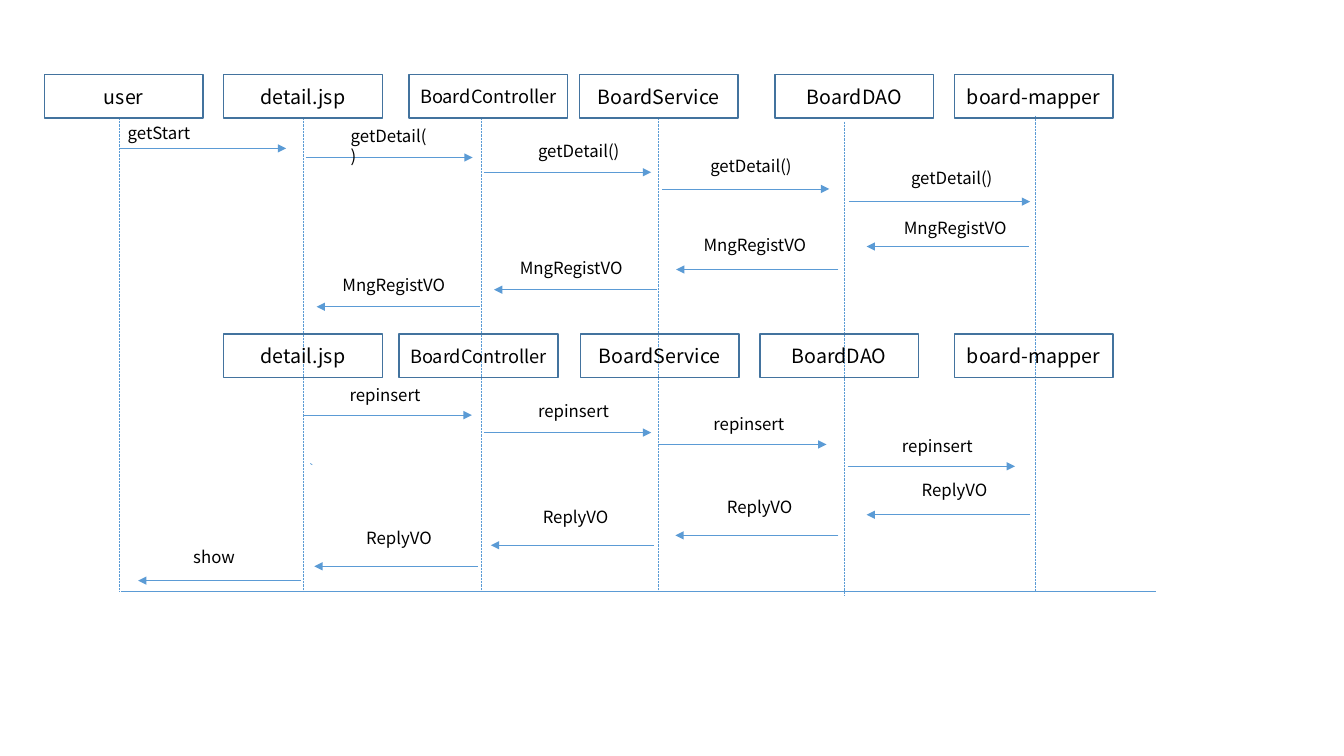
"""Build a sequence diagram of the board detail and reply calls."""
from dataclasses import dataclass

from lxml import etree
from pptx import Presentation
from pptx import util as u
from pptx.dml.color import RGBColor
from pptx.enum import dml, shapes, text
from pptx.oxml import ns


@dataclass(frozen=True)
class Theme:
    font: str = "Noto Sans CJK KR"
    ink: RGBColor = RGBColor(0x00, 0x00, 0x00)
    border: RGBColor = RGBColor(0x43, 0x73, 0x9E)
    stroke: RGBColor = RGBColor(0x5B, 0x9B, 0xD5)
    name_size: float = 14
    long_name_size: float = 13
    message_size: float = 12
    border_width: float = 1
    stroke_width: float = 0.5


THEME = Theme()
BOX_WIDTH, BOX_HEIGHT, LABEL_HEIGHT = 4.0, 1.1, 0.77
LONG_NAME = 13

# name, left in the detail row, left in the reply row, lifeline x, top, bottom
PARTICIPANTS = [
    ("user", 1.12, None, 3.0, 2.97, 14.91),
    ("detail.jsp", 5.64, 5.64, 7.64, 2.97, 14.92),
    ("BoardController", 10.31, 10.06, 12.12, 2.97, 14.91),
    ("BoardService", 14.6, 14.63, 16.59, 2.97, 14.92),
    ("BoardDAO", 19.53, 19.15, 21.29, 3.07, 15.01),
    ("board-mapper", 24.05, 24.05, 26.09, 2.92, 14.88),
]
DETAIL_TOP, REPLY_TOP = 1.88, 8.42
BASELINE = (3.05, 14.91, 29.13, 14.91)
TICK = (7.82, 11.68, 7.87, 11.71)

# each call: arrow start x, arrow end x, arrow y, label left, label top, label width
MESSAGES = {
    "getStart": [(3.02, 7.21, 3.74, 2.97, 2.97, 2.11)],
    "getDetail()": [
        (7.7, 11.91, 3.97, 8.59, 3.05, 2.49),
        (12.19, 16.41, 4.34, 13.31, 3.43, 2.59),
        (16.69, 20.9, 4.76, 17.65, 3.81, 2.59),
        (21.39, 25.96, 5.08, 22.71, 4.09, 2.59),
    ],
    "MngRegistVO": [
        (25.93, 21.84, 6.21, 22.53, 5.36, 3.25),
        (21.13, 17.04, 6.79, 17.48, 5.79, 3.18),
        (16.56, 12.45, 7.3, 12.85, 6.38, 3.25),
        (12.09, 7.98, 7.73, 8.38, 6.81, 3.35),
    ],
    "repinsert": [
        (7.67, 11.89, 10.46, 8.56, 9.58, 2.49),
        (12.19, 16.41, 10.9, 13.31, 9.98, 2.59),
        (16.61, 20.83, 11.2, 17.73, 10.31, 2.59),
        (21.36, 25.58, 11.75, 22.48, 10.85, 2.59),
    ],
    "ReplyVO": [
        (25.96, 21.84, 12.97, 22.33, 11.96, 3.45),
        (21.13, 17.02, 13.49, 17.42, 12.4, 3.45),
        (16.48, 12.37, 13.74, 12.78, 12.65, 3.45),
        (12.04, 7.92, 14.27, 8.33, 13.18, 3.45),
    ],
    "show": [(7.59, 3.48, 14.63, 4.62, 13.64, 1.6)],
}
CENTRED = {"ReplyVO"}


def write(frame, words, size, align):
    frame.word_wrap = True
    paragraph = frame.paragraphs[0]
    paragraph.text = words
    paragraph.alignment = align
    paragraph.font.name = THEME.font
    paragraph.font.size = u.Pt(size)
    paragraph.font.color.rgb = THEME.ink


def add_line(slide, x1, y1, x2, y2, dotted=False, arrow=False):
    line = slide.shapes.add_connector(
        shapes.MSO_CONNECTOR.STRAIGHT, u.Cm(x1), u.Cm(y1), u.Cm(x2), u.Cm(y2))
    line.line.color.rgb = THEME.stroke
    line.line.width = u.Pt(THEME.stroke_width)
    if dotted:
        line.line.dash_style = dml.MSO_LINE.ROUND_DOT
    if arrow:
        etree.SubElement(line.get_or_add_ln(), ns.qn("a:tailEnd"), type="triangle")
    etree.SubElement(line._element.spPr, ns.qn("a:effectLst"))


def add_participant(slide, name, left, top):
    box = slide.shapes.add_shape(
        shapes.MSO_SHAPE.RECTANGLE, u.Cm(left), u.Cm(top), u.Cm(BOX_WIDTH), u.Cm(BOX_HEIGHT))
    box.shadow.inherit = False
    box.fill.background()
    box.line.color.rgb = THEME.border
    box.line.width = u.Pt(THEME.border_width)
    box.text_frame.vertical_anchor = text.MSO_ANCHOR.MIDDLE
    size = THEME.long_name_size if len(name) > LONG_NAME else THEME.name_size
    write(box.text_frame, name, size, text.PP_ALIGN.CENTER)


def add_message(slide, words, start, end, y, left, top, width):
    add_line(slide, start, y, end, y, arrow=True)
    label = slide.shapes.add_textbox(u.Cm(left), u.Cm(top), u.Cm(width), u.Cm(LABEL_HEIGHT))
    align = text.PP_ALIGN.CENTER if words in CENTRED else text.PP_ALIGN.LEFT
    write(label.text_frame, words, THEME.message_size, align)


def main():
    deck = Presentation()
    deck.slide_width, deck.slide_height = u.Cm(33.87), u.Cm(19.05)
    slide = deck.slides.add_slide(deck.slide_layouts[6])

    for _, _, _, x, top, bottom in PARTICIPANTS:
        add_line(slide, x, top, x, bottom, dotted=True)
    for ends in (BASELINE, TICK):
        add_line(slide, *ends)
    for name, detail_left, reply_left, *_ in PARTICIPANTS:
        add_participant(slide, name, detail_left, DETAIL_TOP)
        if reply_left is not None:
            add_participant(slide, name, reply_left, REPLY_TOP)
    for words, calls in MESSAGES.items():
        for call in calls:
            add_message(slide, words, *call)

    deck.save("out.pptx")


main()
